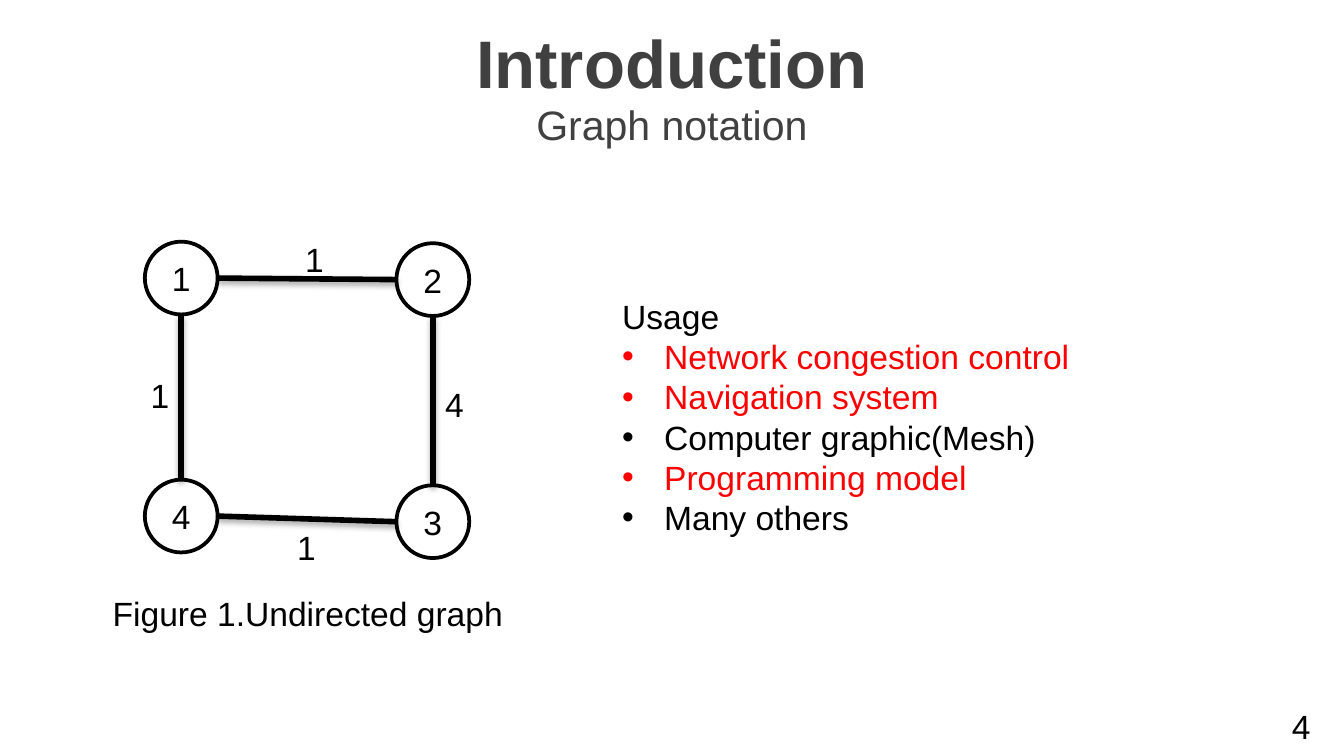
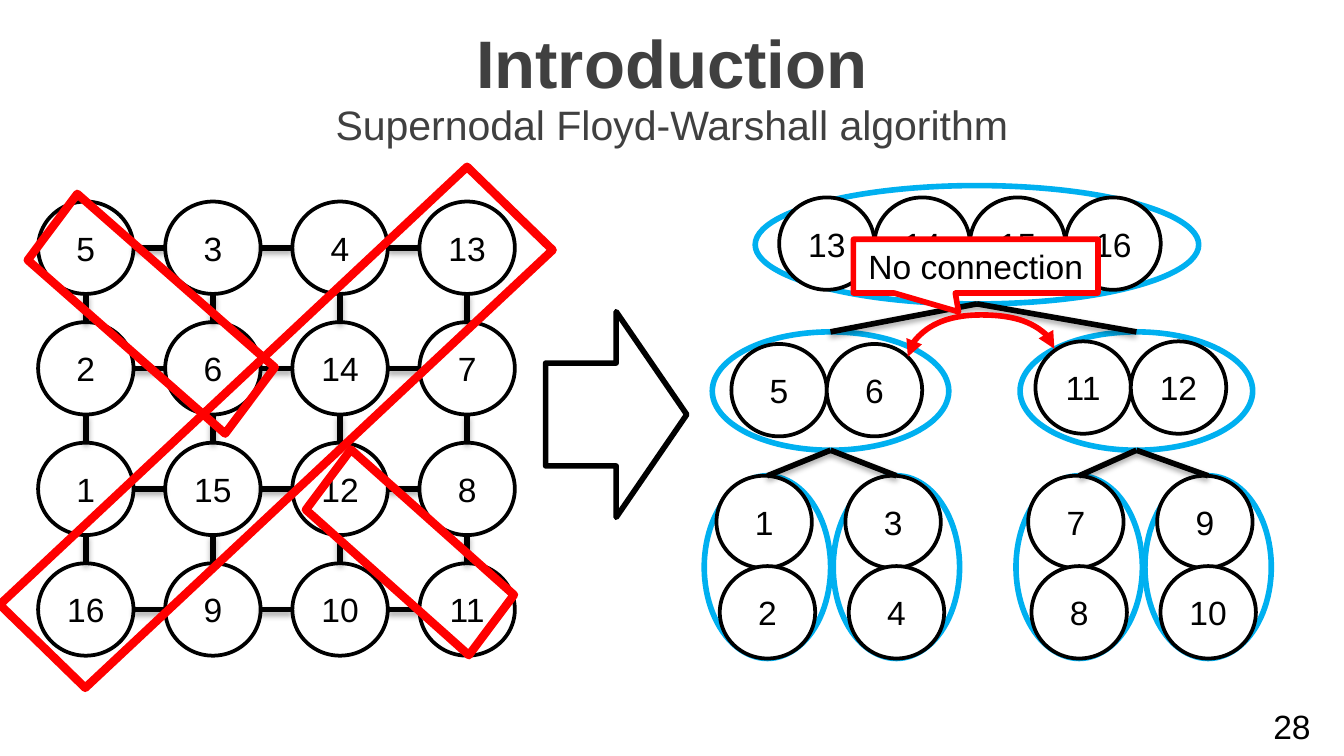
from dataclasses import dataclass
from typing import Any, NamedTuple

from lxml.etree import SubElement
from pptx import Presentation
from pptx.dml.color import RGBColor
from pptx.enum.shapes import MSO_CONNECTOR, MSO_SHAPE
from pptx.enum.text import MSO_ANCHOR, MSO_AUTO_SIZE, PP_ALIGN
from pptx.oxml.ns import qn
from pptx.shapes.autoshape import Shape
from pptx.shapes.connector import Connector
from pptx.slide import Slide
from pptx.text.text import TextFrame
from pptx.util import Pt

COLORS = {
    "ink": "000000",
    "heading": "404040",
    "paper": "FFFFFF",
    "accent": "FF0000",
    "supernode": "00B0F0",
}
FONT = "Arial"
BODY_SIZE = 18
SLIDE_WIDTH, SLIDE_HEIGHT = 720, 405
BULLET_INDENT = 22.5


class Point(NamedTuple):
    x: float
    y: float


@dataclass(frozen=True)
class Box:
    left: float
    top: float
    width: float
    height: float

    def side(self, across: float, down: float) -> Point:
        """Point at the given fractions of the width and the height."""
        return Point(self.left + across * self.width, self.top + down * self.height)

    def lengths(self) -> tuple[Pt, Pt, Pt, Pt]:
        return Pt(self.left), Pt(self.top), Pt(self.width), Pt(self.height)


class Line(NamedTuple):
    text: str
    color: str = "ink"
    bullet: bool = False


class Supernode(NamedTuple):
    """An outlined group of vertices, placed from the first one by a fixed step."""
    outline: Box
    vertices: tuple[int, ...]
    first: Point
    step: Point


class Frame(NamedTuple):
    box: Box
    rotation: float


TOP, BOTTOM, LEFT, RIGHT = (0.5, 0), (0.5, 1), (0, 0.5), (1, 0.5)

# Undirected graph
SMALL_VERTEX = 39
SMALL_VERTICES = {
    1: Box(77.6, 129.5, SMALL_VERTEX, SMALL_VERTEX),
    2: Box(212.4, 130.3, SMALL_VERTEX, SMALL_VERTEX),
    3: Box(212.4, 260, SMALL_VERTEX, SMALL_VERTEX),
    4: Box(77.6, 257, SMALL_VERTEX, SMALL_VERTEX),
}
SMALL_EDGES = [
    (1, RIGHT, 2, LEFT), (1, BOTTOM, 4, TOP), (3, TOP, 2, BOTTOM), (4, RIGHT, 3, LEFT),
]
WEIGHTS = [
    ("1", Point(154.8, 124.6)), ("4", Point(229.7, 202.3)),
    ("1", Point(72, 197.3)), ("1", Point(150.5, 278.6)),
]
USAGES = [
    Line("Usage"),
    Line("Network congestion control", "accent", True),
    Line("Navigation system", "accent", True),
    Line("Computer graphic(Mesh)", "ink", True),
    Line("Programming model", "accent", True),
    Line("Many others", "ink", True),
]

# Mesh and its supernodal tree
VERTEX_WIDTH, VERTEX_HEIGHT = 51.1, 49.5
MESH = [[5, 3, 4, 13], [2, 6, 14, 7], [1, 15, 12, 8], [16, 9, 10, 11]]
MESH_ORIGIN, MESH_PITCH = Point(20.4, 108), Point(68.1, 64.6)
SEPARATORS = [
    Frame(Box(108, 57.6, 79.9, 342.7), 44.2),
    Frame(Box(194.4, 237.6, 50.4, 116.6), 126.8),
    Frame(Box(53.3, 97.9, 55.4, 140.4), 126.8),
]
ROW_STEP, STACK_STEP = Point(VERTEX_WIDTH, 0), Point(1.8, 48.4)
LEAF_TOP = 254.9


def leaf(left: float, vertices: tuple[int, ...]) -> Supernode:
    return Supernode(Box(left, LEAF_TOP, 67.7, 97.9), vertices,
                     Point(left + 6.5, LEAF_TOP), STACK_STEP)


ROOT = Supernode(Box(404.6, 99.4, 237.6, 63.4), (13, 14, 15, 16),
                 Point(417.4, 105.8), ROW_STEP)
BRANCHES = [
    (Supernode(Box(381.6, 177.8, 126.7, 63.4), (5, 6), Point(391.8, 184.3), ROW_STEP),
     [leaf(377.3, (1, 2)), leaf(446.4, (3, 4))]),
    (Supernode(Box(546.5, 177.8, 124.6, 63.4), (11, 12), Point(554.7, 182.9), ROW_STEP),
     [leaf(544.3, (7, 8)), leaf(613.4, (9, 10))]),
]


def rgb(color: str) -> RGBColor:
    return RGBColor.from_string(COLORS[color])


def set_all(target: Any, values: dict[str, Any]) -> None:
    for attribute, value in values.items():
        setattr(target, attribute, value)


def write(frame: TextFrame, lines: list[Line], align: PP_ALIGN = PP_ALIGN.CENTER,
          size: float = BODY_SIZE, bold: bool = False) -> None:
    for index, line in enumerate(lines):
        paragraph = frame.paragraphs[0] if index == 0 else frame.add_paragraph()
        if line.bullet:
            properties = paragraph._p.get_or_add_pPr()
            properties.set("marL", str(Pt(BULLET_INDENT)))
            properties.set("indent", str(-Pt(BULLET_INDENT)))
            SubElement(properties, qn("a:buFont"), typeface=FONT)
            SubElement(properties, qn("a:buChar"), char="•")
        paragraph.alignment = align
        run = paragraph.add_run()
        run.text = line.text
        set_all(run.font, {"name": FONT, "size": Pt(size), "bold": bold})
        run.font.color.rgb = rgb(line.color)


def add_text(slide: Slide, box: Box, lines: list[Line], align: PP_ALIGN = PP_ALIGN.CENTER,
             size: float = BODY_SIZE, anchor: MSO_ANCHOR = MSO_ANCHOR.TOP) -> None:
    frame = slide.shapes.add_textbox(*box.lengths()).text_frame
    set_all(frame, {"word_wrap": True, "vertical_anchor": anchor})
    write(frame, lines, align, size)


def add_outlined(slide: Slide, preset: MSO_SHAPE, box: Box, color: str, weight: float,
                 fill: str | None = "paper", label: str = "") -> Shape:
    shape = slide.shapes.add_shape(preset, *box.lengths())
    shape.shadow.inherit = False
    if fill:
        shape.fill.solid()
        shape.fill.fore_color.rgb = rgb(fill)
    else:
        shape.fill.background()
    shape.line.color.rgb = rgb(color)
    shape.line.width = Pt(weight)
    if label:
        set_all(shape.text_frame, {
            "margin_left": 0, "margin_right": 0, "margin_top": 0, "margin_bottom": 0,
            "word_wrap": True, "vertical_anchor": MSO_ANCHOR.MIDDLE,
        })
        write(shape.text_frame, [Line(label)])
    return shape


def add_vertex(slide: Slide, number: int, box: Box) -> None:
    add_outlined(slide, MSO_SHAPE.OVAL, box, "ink", 2, label=str(number))


def add_line(slide: Slide, start: Point, end: Point, color: str = "ink",
             kind: MSO_CONNECTOR = MSO_CONNECTOR.STRAIGHT) -> Connector:
    connector = slide.shapes.add_connector(
        kind, Pt(start.x), Pt(start.y), Pt(end.x), Pt(end.y))
    connector.line.color.rgb = rgb(color)
    connector.line.width = Pt(3)
    SubElement(connector._element.spPr, qn("a:effectLst"))
    return connector


def add_edge(slide: Slide, start: Point, end: Point) -> None:
    """Straight line with a soft shadow below it."""
    effects = add_line(slide, start, end)._element.spPr.find(qn("a:effectLst"))
    shadow = SubElement(effects, qn("a:outerShdw"), blurRad=str(Pt(3.1)),
                        dist=str(Pt(1.8)), dir="5400000", rotWithShape="0")
    ink = SubElement(shadow, qn("a:srgbClr"), val=COLORS["ink"])
    SubElement(ink, qn("a:alpha"), val="35000")


def add_double_arc(slide: Slide, box: Box, bulge: int) -> None:
    """Curve turned by a quarter, with a head at both ends."""
    arc = add_line(slide, box.side(1, 1), box.side(0, 0), "accent", MSO_CONNECTOR.CURVE)
    properties = arc._element.spPr
    properties.find(qn("a:xfrm")).set("rot", "5400000")
    geometry = properties.find(qn("a:prstGeom"))
    guides = geometry.find(qn("a:avLst"))
    if guides is None:
        guides = SubElement(geometry, qn("a:avLst"))
    SubElement(guides, qn("a:gd"), name="adj1", fmla=f"val {bulge}")
    outline = properties.find(qn("a:ln"))
    for end in ("a:headEnd", "a:tailEnd"):
        SubElement(outline, qn(end), type="triangle")


def start_slide(deck: Any, subtitle: str, number: int) -> Slide:
    slide = deck.slides.add_slide(deck.slide_layouts[5])
    title = slide.shapes.title
    heading = Box(0, 10.1, SLIDE_WIDTH, 45.4)
    set_all(title, dict(zip(("left", "top", "width", "height"), heading.lengths())))
    set_all(title.text_frame, {"word_wrap": True, "auto_size": MSO_AUTO_SIZE.NONE,
                               "vertical_anchor": MSO_ANCHOR.MIDDLE})
    write(title.text_frame, [Line("Introduction", "heading")], size=36, bold=True)
    add_text(slide, Box(0, 55.4, SLIDE_WIDTH, 22.3), [Line(subtitle, "heading")],
             size=22, anchor=MSO_ANCHOR.MIDDLE)
    add_text(slide, Box(547.2, 378, 162, 21.6), [Line(str(number))],
             PP_ALIGN.RIGHT, anchor=MSO_ANCHOR.MIDDLE)
    return slide


def draw_graph_notation(deck: Any) -> None:
    slide = start_slide(deck, "Graph notation", 4)
    add_text(slide, Box(326.2, 154.8, 294.5, 138.2), USAGES, PP_ALIGN.LEFT)
    for number, box in SMALL_VERTICES.items():
        add_vertex(slide, number, box)
    for start, start_side, end, end_side in SMALL_EDGES:
        add_edge(slide, SMALL_VERTICES[start].side(*start_side),
                 SMALL_VERTICES[end].side(*end_side))
    for weight, corner in WEIGHTS:
        add_text(slide, Box(*corner, 27.4, 28.8), [Line(weight)])
    add_text(slide, Box(34.6, 313.9, 260.6, 28.8), [Line("Figure 1.Undirected graph")])


def draw_tree(slide: Slide) -> None:
    links = [(ROOT, branch) for branch, _ in BRANCHES]
    links += [(branch, child) for branch, children in BRANCHES for child in children]
    supernodes = [ROOT] + [child for _, child in links]
    for supernode in supernodes:
        add_outlined(slide, MSO_SHAPE.OVAL, supernode.outline, "supernode", 3, fill=None)
    for _, vertices, first, step in supernodes:
        for index, number in enumerate(vertices):
            add_vertex(slide, number, Box(first.x + index * step.x, first.y + index * step.y,
                                          VERTEX_WIDTH, VERTEX_HEIGHT))
    for parent, child in links:
        add_edge(slide, child.outline.side(*TOP), parent.outline.side(*BOTTOM))


def draw_mesh(slide: Slide) -> None:
    cells = [[Box(MESH_ORIGIN.x + column * MESH_PITCH.x, MESH_ORIGIN.y + row * MESH_PITCH.y,
                  VERTEX_WIDTH, VERTEX_HEIGHT) for column in range(len(MESH[row]))]
             for row in range(len(MESH))]
    for numbers, boxes in zip(MESH, cells):
        for number, box in zip(numbers, boxes):
            add_vertex(slide, number, box)
    for boxes in cells:
        for box, neighbour in zip(boxes, boxes[1:]):
            add_edge(slide, box.side(*RIGHT), neighbour.side(*LEFT))
    for upper, lower in zip(cells, cells[1:]):
        for box, neighbour in zip(upper, lower):
            add_edge(slide, box.side(*BOTTOM), neighbour.side(*TOP))
    for box, rotation in SEPARATORS:
        frame = add_outlined(slide, MSO_SHAPE.FLOWCHART_DATA, box, "accent", 4.5, fill=None)
        frame.rotation = rotation


def draw_supernodal_algorithm(deck: Any) -> None:
    slide = start_slide(deck, "Supernodal Floyd-Warshall algorithm", 28)
    draw_tree(slide)
    draw_mesh(slide)
    add_outlined(slide, MSO_SHAPE.RIGHT_ARROW, Box(292.3, 167, 75.6, 110.2), "ink", 3)
    add_double_arc(slide, Box(523.4, 149.8, 4.3, 78.5), 520700)
    callout = add_outlined(slide, MSO_SHAPE.RECTANGULAR_CALLOUT, Box(457.2, 128.2, 131, 28.8),
                           "accent", 3, label="No connection")
    callout.adjustments[0], callout.adjustments[1] = -0.07, 0.85


def main() -> None:
    deck = Presentation()
    set_all(deck, {"slide_width": Pt(SLIDE_WIDTH), "slide_height": Pt(SLIDE_HEIGHT)})
    draw_graph_notation(deck)
    draw_supernodal_algorithm(deck)
    deck.save("out.pptx")


if __name__ == "__main__":
    main()
